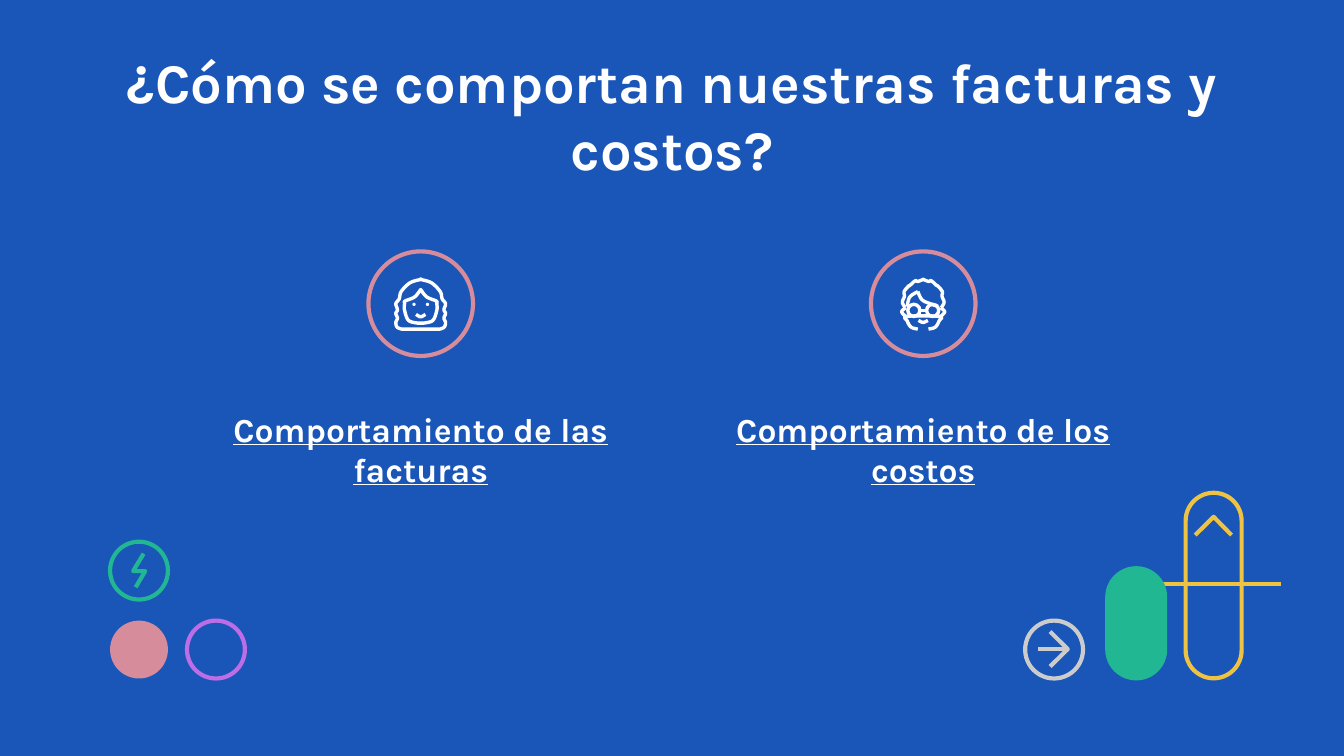
from dataclasses import dataclass

from lxml.etree import SubElement
from pptx import Presentation
from pptx.dml.color import RGBColor
from pptx.enum.shapes import MSO_CONNECTOR as Connector, MSO_SHAPE as Preset
from pptx.enum.text import MSO_ANCHOR as Anchor, MSO_AUTO_SIZE as AutoSize, PP_ALIGN as Align
from pptx.oxml.ns import qn
from pptx.util import Pt


@dataclass(frozen=True)
class Theme:
    blue: str = "1A56B8"
    white: str = "FFFFFF"
    pink: str = "D78C9B"
    purple: str = "BD6DE6"
    green: str = "21B793"
    yellow: str = "EEC242"
    grey: str = "CCCCCC"
    font: str = "Karla"
    title_size: float = 30
    caption_size: float = 18
    stroke: float = 2.25
    icon_stroke: float = 1.8


THEME = Theme()
ICON_UNIT = 0.72  # points per unit of the icon grids
DOT = 31  # diameter of the small corner circles


def color(value):
    return RGBColor.from_string(value)


def style(shape, fill=None, line=None, width=THEME.stroke):
    shape.shadow.inherit = False
    if fill:
        shape.fill.solid()
        shape.fill.fore_color.rgb = color(fill)
    else:
        shape.fill.background()
    if line:
        shape.line.color.rgb = color(line)
        shape.line.width = Pt(width)
    else:
        shape.line.fill.background()


def add_circle(page, x, y, diameter, **look):
    """Circle around the centre x, y."""
    left, top = x - diameter / 2, y - diameter / 2
    circle = page.shapes.add_shape(Preset.OVAL, Pt(left), Pt(top), Pt(diameter), Pt(diameter))
    style(circle, **look)


def add_pill(page, left, top, width, height, **look):
    pill = page.shapes.add_shape(Preset.ROUNDED_RECTANGLE, Pt(left), Pt(top), Pt(width), Pt(height))
    pill.adjustments[0] = 0.5
    style(pill, **look)


def add_path(page, points, line, width=THEME.stroke, close=False):
    corners = [(Pt(x), Pt(y)) for x, y in points]
    builder = page.shapes.build_freeform(*corners[0])
    builder.add_line_segments(corners[1:], close=close)
    style(builder.convert_to_shape(), line=line, width=width)


def add_line(page, start, end, line):
    ends = [Pt(value) for value in (*start, *end)]
    rule = page.shapes.add_connector(Connector.STRAIGHT, *ends)
    rule.line.color.rgb = color(line)
    rule.line.width = Pt(THEME.stroke)
    SubElement(rule._element.spPr, qn("a:effectLst"))


def write(box, text, size, underline=False):
    frame = box.text_frame
    frame.word_wrap = True
    frame.auto_size = AutoSize.NONE
    frame.vertical_anchor = Anchor.MIDDLE
    frame.margin_left = frame.margin_right = frame.margin_top = frame.margin_bottom = 0
    para = frame.paragraphs[0]
    para.alignment = Align.CENTER
    span = para.add_run()
    span.text = text
    span.font.name = THEME.font
    span.font.size = Pt(size)
    span.font.bold = True
    span.font.underline = underline
    span.font.color.rgb = color(THEME.white)


def smooth(points, steps=6):
    """Curve through all points (Catmull-Rom)."""
    padded = [points[0], *points, points[-1]]
    curve = []
    for a, b, c, d in zip(padded, padded[1:], padded[2:], padded[3:]):
        for t in (step / steps for step in range(steps)):
            curve.append(tuple(
                b[i] + t * (c[i] - a[i]) / 2
                + t * t * (2 * a[i] - 5 * b[i] + 4 * c[i] - d[i]) / 2
                + t ** 3 * (3 * b[i] - a[i] - 3 * c[i] + d[i]) / 2
                for i in (0, 1)))
    return curve + [points[-1]]


def flip(points):
    return [(-x, y) for x, y in points]


def mirror(half):
    """Left half from the bottom up, then the right half from the top down."""
    return flip(half)[::-1] + half


def add_icon(page, x, y, outlines, circles):
    """Outlines are (points, close); circles are (x, y, diameter, filled)."""
    for points, close in outlines:
        placed = [(x + px * ICON_UNIT, y + py * ICON_UNIT) for px, py in points]
        add_path(page, placed, THEME.white, THEME.icon_stroke, close)
    for px, py, diameter, filled in circles:
        look = {"fill": THEME.white} if filled else {"line": THEME.white, "width": THEME.icon_stroke}
        add_circle(page, x + px * ICON_UNIT, y + py * ICON_UNIT, diameter * ICON_UNIT, **look)


def add_long_hair_icon(page, x, y):
    hair = [(0, -18), (8, -15.5), (14.5, -9), (16, -3.5), (18.5, 0), (17.3, 4.5),
            (18.5, 7.3), (17.3, 10.8), (18.5, 14), (17.5, 17.5), (14, 19)]
    face = [(0, -10.5), (4.5, -5), (11.5, -2), (12, 0), (12, 5), (9, 12.5), (2, 14.5)]
    smile = [(-3.5, 8), (0, 9.8), (3.5, 8)]
    outlines = [(smooth(mirror(hair)), True), (mirror(smooth(face)), True), (smooth(smile), False)]
    add_icon(page, x, y, outlines, [(-5, 0.5, 2.4, True), (5, 0.5, 2.4, True)])


def add_glasses_icon(page, x, y):
    curls = [(0, -18), (4, -16.5), (6, -17), (10, -13.5), (11, -13), (14.2, -9),
             (14, -5.5), (15.5, -1), (13.5, 3)]
    ear = [(13, 3), (16, 6), (13, 9.5)]
    jaw = [(12, 9.5), (11.8, 13), (9, 17.5), (4, 19)]
    curves = [mirror(curls), ear, flip(ear), mirror(jaw),
              [(-12, 2), (-10, -5), (-4, -9)],
              [(-4, -9), (-1, -3), (5, 0), (11, 2)],
              [(-3.5, 12.5), (0, 14), (3.5, 12.5)]]
    outlines = [(smooth(curve), False) for curve in curves]
    outlines.append(([(-2.5, 5), (2.5, 5)], False))
    add_icon(page, x, y, outlines, [(-7, 5, 9, False), (7, 5, 9, False)])


def add_topic(page, x, text, add_portrait):
    add_circle(page, x, 162.7, 56, line=THEME.pink)
    add_portrait(page, x, 162.7)
    box = page.shapes.add_textbox(Pt(x - 114.5), Pt(229), Pt(229), Pt(23))
    write(box, text, THEME.caption_size, underline=True)


def add_left_corner(page):
    # Lightning circle above two plain circles
    add_circle(page, 74.5, 305.7, DOT, line=THEME.green)
    add_path(page, [(77, 296.6), (71.3, 306), (77.8, 306), (72.7, 314.6)], THEME.green)
    add_circle(page, 74.5, 348, DOT, fill=THEME.pink)
    add_circle(page, 115.7, 348, DOT, line=THEME.purple)


def add_right_corner(page):
    # Tall bar with chevron and crossing line
    add_pill(page, 635.2, 264, 30, 99.4, line=THEME.yellow)
    add_path(page, [(640.3, 286.7), (650.2, 276.9), (659.8, 286.7)], THEME.yellow)
    add_line(page, (614, 312.8), (686.2, 312.8), THEME.yellow)
    # Short solid bar
    add_pill(page, 593.2, 304.4, DOT, 59, fill=THEME.green, line=THEME.green)
    # Arrow circle
    add_circle(page, 564.7, 348, DOT, line=THEME.grey)
    add_path(page, [(562.6, 357.1), (572, 347.8), (562.6, 338.4)], THEME.grey)
    add_line(page, (572, 347.8), (556.2, 347.8), THEME.grey)


def main():
    deck = Presentation()
    deck.slide_width, deck.slide_height = Pt(720), Pt(405)
    page = deck.slides.add_slide(deck.slide_layouts[5])
    page.background.fill.solid()
    page.background.fill.fore_color.rgb = color(THEME.blue)

    # Title
    title = page.shapes.title
    title.left, title.top, title.width, title.height = Pt(56), Pt(42.5), Pt(608), Pt(37.5)
    write(title, "¿Cómo se comportan nuestras facturas y costos?", THEME.title_size)

    # Topics, placed evenly around the middle
    add_topic(page, 360 - 134.6, "Comportamiento de las facturas", add_long_hair_icon)
    add_topic(page, 360 + 134.6, "Comportamiento de los costos", add_glasses_icon)

    # Corner decoration
    add_left_corner(page)
    add_right_corner(page)
    deck.save("out.pptx")


main()
